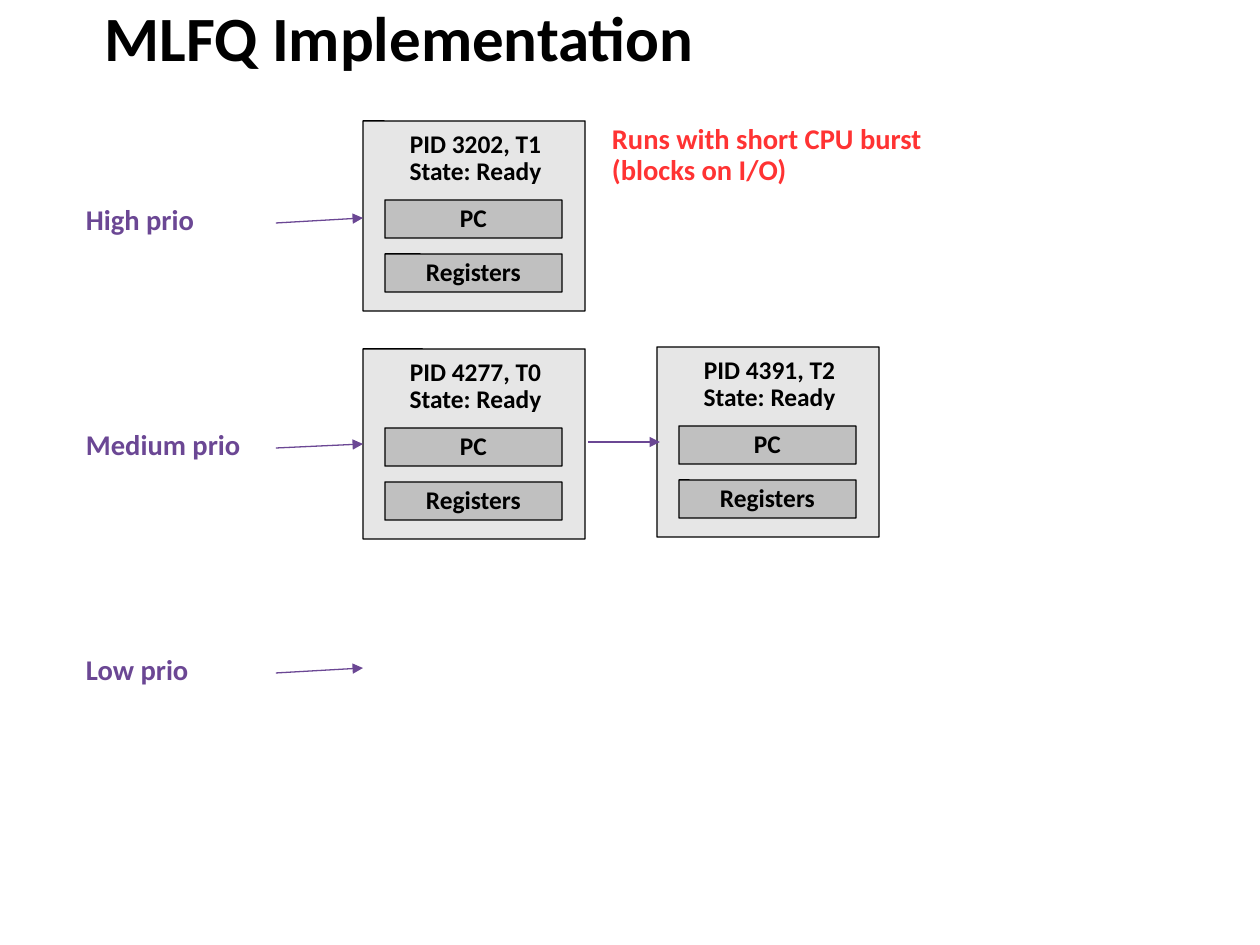
from lxml import etree
from pptx import Presentation
from pptx import util as u
from pptx.dml.color import RGBColor
from pptx.enum import shapes, text
from pptx.oxml.ns import qn

PX = 914400 / 126
PURPLE, BLACK, RED = "6B4794", "000000", "FF3333"
LIGHT, GREY = "E6E6E6", "C0C0C0"


def px(*lengths):
    """Turn pixel lengths into EMU."""
    return [u.Emu(round(n * PX)) for n in lengths]


def write(sp, lines, size, color, align, spacings=(0.9,)):
    """Fill a shape with bold lines, one paragraph each."""
    tf = sp.text_frame
    tf.word_wrap = True
    tf.auto_size = text.MSO_AUTO_SIZE.NONE
    tf.margin_left, tf.margin_right, tf.margin_top, tf.margin_bottom = px(11, 11, 5, 5)
    for i, (line, spacing) in enumerate(zip(lines, spacings)):
        p = tf.add_paragraph() if i else tf.paragraphs[0]
        p.alignment = align
        p.line_spacing = spacing
        r = p.add_run()
        r.text = line
        r.font.name = "Calibri"
        r.font.size = u.Pt(size)
        r.font.bold = True
        r.font.color.rgb = RGBColor.from_string(color)


LEFT, CENTER = text.PP_ALIGN.LEFT, text.PP_ALIGN.CENTER

prs = Presentation()
prs.slide_width, prs.slide_height = u.Inches(10), u.Inches(7.5)
s = prs.slides.add_slide(prs.slide_layouts[5])

# Title
title = s.shapes.title
title.left, title.top, title.width, title.height = px(92, 13, 1076, 59)
write(title, ["MLFQ Implementation"], 36, BLACK, LEFT, [0.82])
title.text_frame.vertical_anchor = text.MSO_ANCHOR.MIDDLE
title.text_frame.margin_left = u.Inches(0.1)

# Priority labels
for i, level in enumerate(["High", "Medium", "Low"]):
    label = s.shapes.add_textbox(*px(75, 201 + 225 * i, 201, 44))
    write(label, [f"{level} prio"], 16.3, PURPLE, LEFT)

# Thread control blocks: a frame, two fields and a heading
threads = [("PID 4277, T0", 363, 349), ("PID 4391, T2", 657, 347), ("PID 3202, T1", 363, 121)]
for pid, x, y in threads:
    boxes = [
        ("", 0, 0, 222, 190, LIGHT, 0.001),
        ("PC", 22, 79, 177, 38, GREY, 0.005),
        ("Registers", 22, 133, 177, 38, GREY, 0.005),
    ]
    for name, dx, dy, w, h, fill, rounding in boxes:
        sp = s.shapes.add_shape(shapes.MSO_SHAPE.ROUNDED_RECTANGLE, *px(x + dx, y + dy, w, h))
        sp.adjustments[0] = rounding
        sp.shadow.inherit = False
        sp.fill.solid()
        sp.fill.fore_color.rgb = RGBColor.from_string(fill)
        sp.line.color.rgb = RGBColor.from_string(BLACK)
        sp.line.width = u.Pt(0.75)
        if name:
            write(sp, [name], 14.5, BLACK, CENTER)
            sp.text_frame.vertical_anchor = text.MSO_ANCHOR.MIDDLE
    heading = s.shapes.add_textbox(*px(x + 14, y + 6, 197, 68))
    write(heading, [pid, "State: Ready"], 14.5, BLACK, CENTER, [0.9, 0.86])

# Queue arrows
arrows = [(276, 223, 363, 218), (276, 448, 363, 444), (276, 673, 363, 668), (588, 442, 660, 442)]
for ends in arrows:
    arrow = s.shapes.add_connector(shapes.MSO_CONNECTOR.STRAIGHT, *px(*ends))
    arrow.line.color.rgb = RGBColor.from_string(PURPLE)
    arrow.line.width = u.Pt(0.75)
    etree.SubElement(arrow.line._get_or_add_ln(), qn("a:tailEnd"), type="triangle")
    etree.SubElement(arrow._element.spPr, qn("a:effectLst"))

# Remark on the high-priority thread
remark = s.shapes.add_textbox(*px(601, 120, 405, 78))
write(remark, ["Runs with short CPU burst (blocks on I/O)"], 16.3, RED, LEFT)

prs.save("out.pptx")
